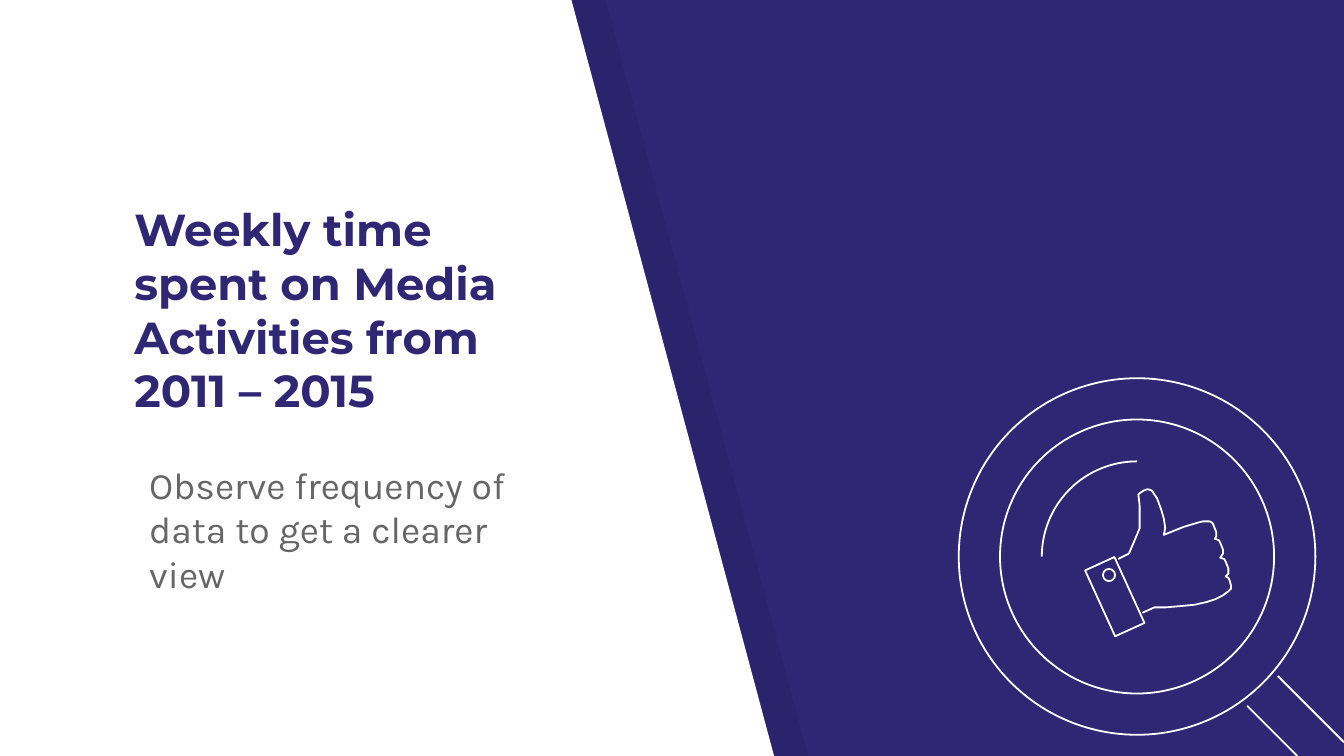
from dataclasses import dataclass

from lxml.etree import SubElement
from pptx import Presentation
from pptx.dml.color import RGBColor
from pptx.enum.shapes import MSO_CONNECTOR, MSO_SHAPE
from pptx.enum.text import MSO_ANCHOR, MSO_AUTO_SIZE, PP_ALIGN
from pptx.oxml.ns import qn
from pptx.util import Cm, Pt

WIDTH, HEIGHT = 25.4, 14.29
TEXT_LEFT, TEXT_WIDTH = 2.29, 8.74
LENS_CENTRE = (21.49, 10.52)
RIM_RADII = (3.37, 2.59)
GLINT_RADIUS = 1.8
PANEL_TOP, PANEL_BOTTOM = 10.8, 14.63
SHADE_OFFSET = 0.64
HAND_SCALE = Cm(2.54) / 100
HAND = [
    (850, 456), (859, 452), (867, 452), (879, 451), (889, 450), (898, 448),
    (904, 446), (910, 443), (914, 440), (916, 438), (916, 436), (915, 432),
    (914, 430), (912, 429), (914, 427), (914, 423), (912, 418), (911, 416),
    (908, 415), (910, 412), (910, 409), (908, 404), (907, 402), (904, 401),
    (905, 399), (905, 396), (903, 391), (902, 389), (900, 388), (895, 388),
    (891, 389), (881, 392), (866, 398), (867, 393), (866, 386), (864, 379),
    (861, 371), (859, 368), (857, 365), (854, 364), (851, 365), (848, 367),
    (847, 368), (848, 376), (848, 393), (846, 398), (840, 412), (832, 416),
]


@dataclass(frozen=True)
class Theme:
    """Colours, fonts and sizes of the slide."""

    indigo: RGBColor = RGBColor(0x2F, 0x26, 0x74)
    white: RGBColor = RGBColor(0xFF, 0xFF, 0xFF)
    black: RGBColor = RGBColor(0, 0, 0)
    grey: RGBColor = RGBColor(0x66, 0x66, 0x66)
    title_font: str = "Montserrat"
    body_font: str = "Karla"
    title_size: Pt = Pt(24)
    body_size: Pt = Pt(20)
    stroke: Pt = Pt(0.96)


class SlideBuilder:
    """Draws styled elements on the current slide."""

    def __init__(self, slide, theme):
        self.slide = slide
        self.theme = theme
        background = slide.background.fill
        background.solid()
        background.fore_color.rgb = theme.indigo

    def panel(self, offset, color, opacity=100):
        """Add a slanted panel that starts at the given offset."""
        builder = self.slide.shapes.build_freeform(Cm(offset), 0)
        builder.add_line_segments([
            (Cm(offset), Cm(HEIGHT)),
            (Cm(PANEL_BOTTOM + offset), Cm(HEIGHT)),
            (Cm(PANEL_TOP + offset), 0),
        ])
        shape = builder.convert_to_shape()
        shape.shadow.inherit = False
        shape.fill.solid()
        shape.fill.fore_color.rgb = color
        shape.line.fill.background()
        if opacity < 100:
            color_element = next(shape.element.iter(qn("a:srgbClr")))
            SubElement(color_element, qn("a:alpha"), val=str(opacity * 1000))

    def style_text(self, shape, text, font_name, size, color, bold=False):
        """Set and format the text of a shape."""
        frame = shape.text_frame
        frame.text = text
        frame.word_wrap = True
        frame.auto_size = MSO_AUTO_SIZE.NONE
        frame.margin_left = frame.margin_right = Cm(0.25)
        frame.margin_top = frame.margin_bottom = Cm(0.25)
        paragraph = frame.paragraphs[0]
        paragraph.alignment = PP_ALIGN.LEFT
        font = paragraph.runs[0].font
        font.name, font.size, font.bold = font_name, size, bold
        font.color.rgb = color
        return frame

    def title(self, text, top, height):
        """Place the title in front of the panels."""
        shape = self.slide.shapes.title
        shape.element.getparent().append(shape.element)
        shape.left, shape.top = Cm(TEXT_LEFT), Cm(top)
        shape.width, shape.height = Cm(TEXT_WIDTH), Cm(height)
        theme = self.theme
        frame = self.style_text(shape, text, theme.title_font, theme.title_size,
                                theme.indigo, bold=True)
        frame.vertical_anchor = MSO_ANCHOR.BOTTOM

    def subtitle(self, text, top, height):
        """Add the indented text below the title."""
        shape = self.slide.shapes.add_textbox(
            Cm(TEXT_LEFT), Cm(top), Cm(TEXT_WIDTH), Cm(height))
        theme = self.theme
        frame = self.style_text(shape, text, theme.body_font, theme.body_size,
                                theme.grey)
        frame.margin_left = Cm(0.53)

    def outline(self, shape):
        """Give a shape a thin white line and no fill."""
        shape.shadow.inherit = False
        shape.fill.background()
        shape.line.color.rgb = self.theme.white
        shape.line.width = self.theme.stroke

    def outlined(self, kind, centre, width, height, rotation=0):
        """Add an outlined preset shape around a centre."""
        x, y = centre
        shape = self.slide.shapes.add_shape(
            kind, Cm(x - width / 2), Cm(y - height / 2), Cm(width), Cm(height))
        shape.rotation = rotation
        self.outline(shape)

    def contour(self, points, scale):
        """Add an open outlined path."""
        builder = self.slide.shapes.build_freeform(*points[0], scale=scale)
        builder.add_line_segments(points[1:], close=False)
        self.outline(builder.convert_to_shape())

    def line(self, start, end):
        """Add a straight white line."""
        connector = self.slide.shapes.add_connector(
            MSO_CONNECTOR.STRAIGHT, *map(Cm, start + end))
        connector.line.color.rgb = self.theme.white
        connector.line.width = self.theme.stroke
        SubElement(connector.element.spPr, qn("a:effectLst"))


def main():
    """Build the slide and save it."""
    presentation = Presentation()
    presentation.slide_width, presentation.slide_height = Cm(WIDTH), Cm(HEIGHT)
    slide = presentation.slides.add_slide(presentation.slide_layouts[5])
    theme = Theme()
    builder = SlideBuilder(slide, theme)

    builder.panel(SHADE_OFFSET, theme.black, opacity=7)
    builder.panel(0, theme.white)
    builder.title("Weekly time spent on Media Activities from 2011 – 2015", 3.63, 4.5)
    builder.subtitle("Observe frequency of data to get a clearer view", 8.48, 2.74)

    builder.outlined(MSO_SHAPE.RECTANGLE, (21.07, 11.28), 0.61, 1.37, rotation=335.5)
    builder.outlined(MSO_SHAPE.OVAL, (20.96, 10.87), 0.23, 0.23)
    builder.contour(HAND, HAND_SCALE)
    for radius in RIM_RADII:
        builder.outlined(MSO_SHAPE.OVAL, LENS_CENTRE, 2 * radius, 2 * radius)
    builder.outlined(MSO_SHAPE.ARC, LENS_CENTRE, 2 * GLINT_RADIUS, 2 * GLINT_RADIUS,
                     rotation=270)
    builder.line((23.57, 13.34), (24.52, HEIGHT))
    builder.line((24.15, 12.78), (WIDTH, 14.03))

    presentation.save("out.pptx")


if __name__ == "__main__":
    main()
